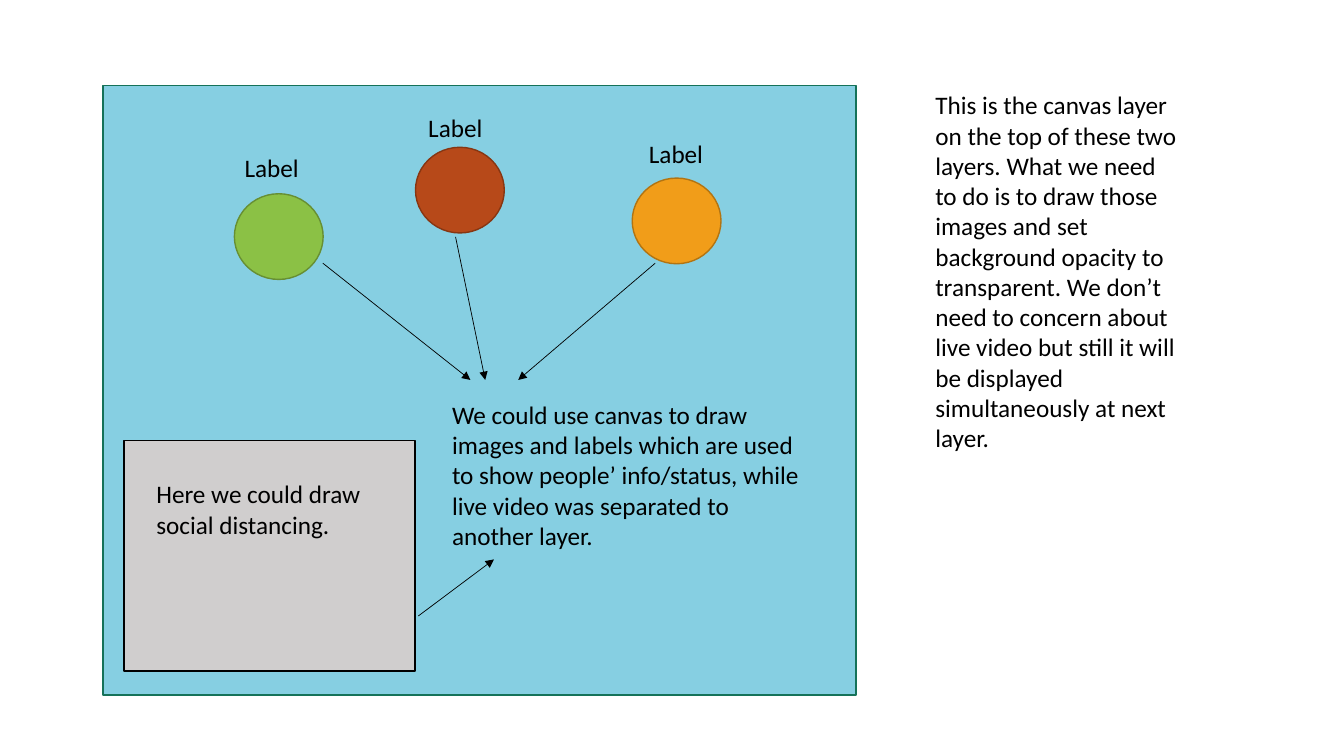
import pptx
import pptx.util
import pptx.dml.color
import pptx.enum.shapes
import pptx.enum.text
import pptx.oxml.ns
import pptx.oxml.xmlchemy

Pt = pptx.util.Pt
RGBColor = pptx.dml.color.RGBColor
MSO_SHAPE = pptx.enum.shapes.MSO_SHAPE

BLACK = RGBColor(0x00, 0x00, 0x00)
CANVAS_BLUE = RGBColor(0x86, 0xCF, 0xE2)
CANVAS_EDGE = RGBColor(0x15, 0x72, 0x59)
PANEL_GRAY = RGBColor(0xD0, 0xCE, 0xCE)
GREEN = RGBColor(0x8B, 0xC1, 0x45)
GREEN_EDGE = RGBColor(0x67, 0x8F, 0x33)
RED = RGBColor(0xB7, 0x49, 0x19)
RED_EDGE = RGBColor(0x87, 0x36, 0x12)
ORANGE = RGBColor(0xF1, 0x9D, 0x19)
ORANGE_EDGE = RGBColor(0xB2, 0x74, 0x12)

presentation = pptx.Presentation()
presentation.slide_width = Pt(960)
presentation.slide_height = Pt(540)
slide = presentation.slides.add_slide(presentation.slide_layouts[6])


def add_text(text, left, top, width, height, size=18, color=BLACK, font="Calibri"):
    box = slide.shapes.add_textbox(Pt(left), Pt(top), Pt(width), Pt(height))
    frame = box.text_frame
    frame.word_wrap = True
    frame.auto_size = pptx.enum.text.MSO_AUTO_SIZE.SHAPE_TO_FIT_TEXT
    run = frame.paragraphs[0].add_run()
    run.text = text
    run.font.size = Pt(size)
    run.font.name = font
    run.font.color.rgb = color


def add_filled_shape(kind, left, top, width, height, fill, edge):
    shape = slide.shapes.add_shape(kind, Pt(left), Pt(top), Pt(width), Pt(height))
    shape.shadow.inherit = False
    shape.fill.solid()
    shape.fill.fore_color.rgb = fill
    shape.line.color.rgb = edge
    shape.line.width = Pt(1)


add_filled_shape(MSO_SHAPE.RECTANGLE, 73.5, 61.2, 538, 435.4, CANVAS_BLUE, CANVAS_EDGE)
add_filled_shape(MSO_SHAPE.RECTANGLE, 88.5, 314.6, 208, 164.8, PANEL_GRAY, BLACK)

people = [
    (167.4, 138.4, GREEN, GREEN_EDGE, 167.6, 105),
    (296.8, 105.2, RED, RED_EDGE, 298.8, 76.4),
    (451.6, 127.2, ORANGE, ORANGE_EDGE, 456.4, 95.4),
]
for left, top, fill, edge, label_left, label_top in people:
    add_filled_shape(MSO_SHAPE.OVAL, left, top, 63.4, 61.2, fill, edge)
    add_text("Label", label_left, label_top, 63.4, 29)

arrows = [
    (230.6, 188, 336, 271.4),
    (325.4, 169.2, 346.6, 271.4),
    (468, 188, 370.2, 271.4),
    (298.8, 440, 352.8, 399.6),
]
for start_x, start_y, end_x, end_y in arrows:
    arrow = slide.shapes.add_connector(
        pptx.enum.shapes.MSO_CONNECTOR.STRAIGHT,
        Pt(start_x), Pt(start_y), Pt(end_x), Pt(end_y))
    arrow.line.color.rgb = BLACK
    arrow.line.width = Pt(0.5)
    properties = arrow._element.spPr
    line = properties.find(pptx.oxml.ns.qn("a:ln"))
    head = pptx.oxml.xmlchemy.OxmlElement("a:tailEnd")
    head.set("type", "triangle")
    line.append(head)
    properties.append(pptx.oxml.xmlchemy.OxmlElement("a:effectLst"))

add_text("Here we could draw social distancing.", 104.6, 338.4, 176.4, 51)
add_text(
    "We could use canvas to draw images and labels which are used to show people’ "
    "info/status, while live video was separated to another layer.",
    315.8, 281.6, 272, 116.6)
add_text(
    "This is the canvas layer on the top of these two layers. What we need to do is "
    "to draw those images and set background opacity to transparent. We don’t need to "
    "concern about live video but still it will be displayed simultaneously at next layer.",
    661, 60.6, 190.8, 269)

presentation.save("out.pptx")
